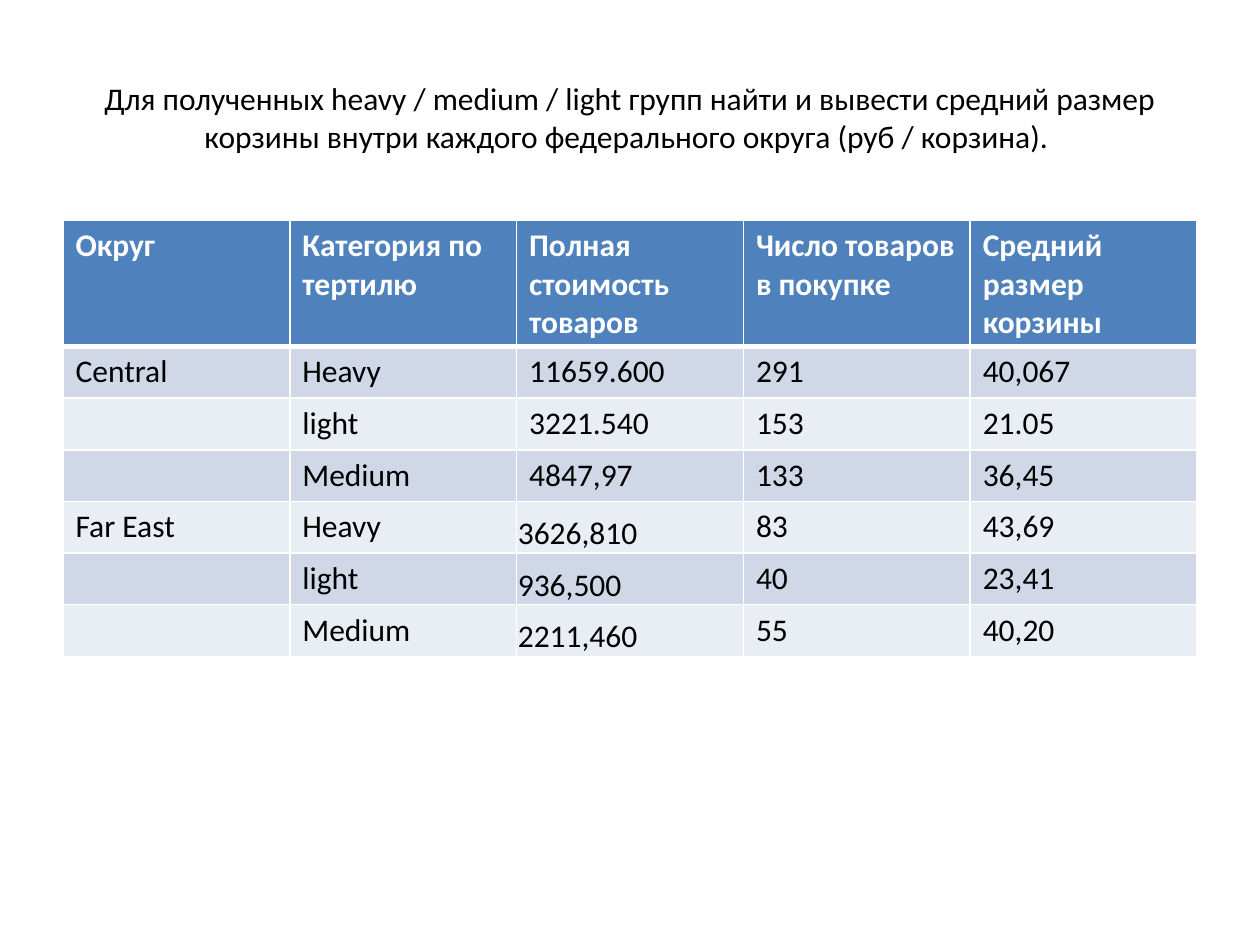
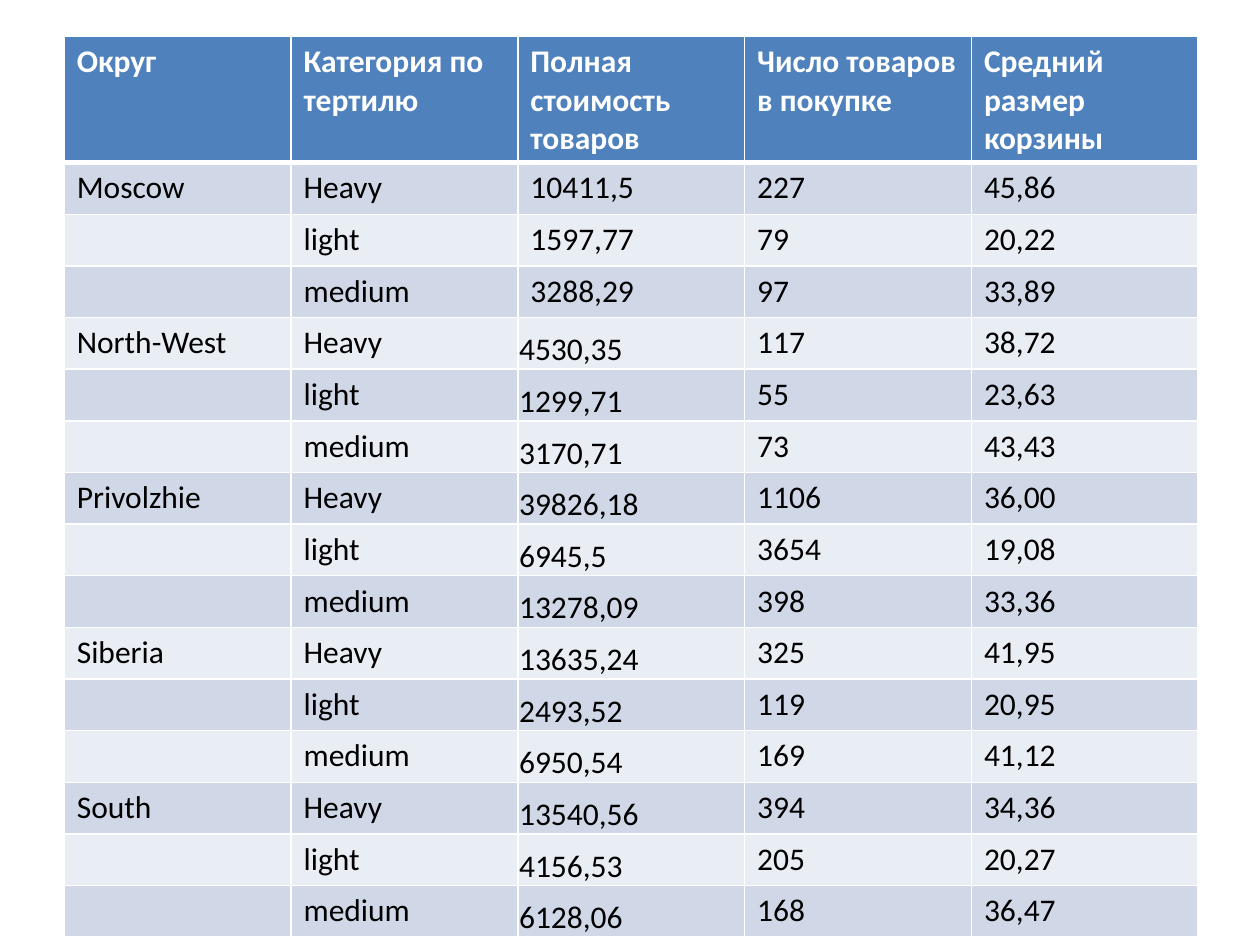
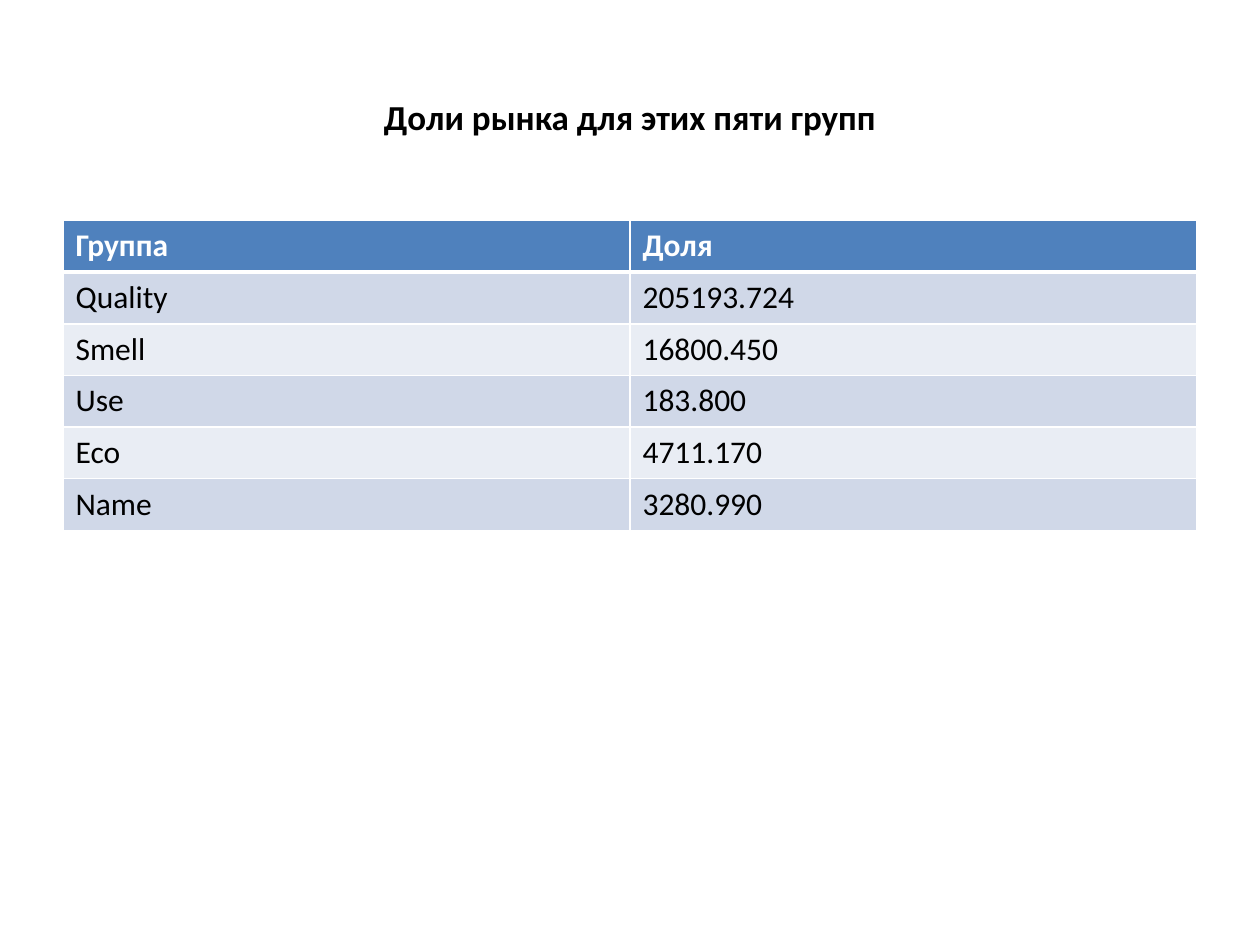
"""Build three slides on basket size by federal district and market shares by group."""
from lxml.etree import SubElement
from pptx import Presentation
from pptx.dml.color import RGBColor
from pptx.enum.text import MSO_ANCHOR, PP_ALIGN
from pptx.oxml.ns import qn
from pptx.util import Inches, Pt

BLACK = RGBColor(0x00, 0x00, 0x00)
WHITE = RGBColor(0xFF, 0xFF, 0xFF)
HEADER_BLUE = RGBColor(0x4F, 0x81, 0xBD)
BAND_FILLS = [RGBColor(0xE9, 0xED, 0xF4), RGBColor(0xD0, 0xD8, 0xE8)]
FONT = "Calibri"

SLIDE_WIDTH, SLIDE_HEIGHT = Inches(10), Inches(7.5)
MARGIN = SLIDE_WIDTH * 0.05
CONTENT_WIDTH = SLIDE_WIDTH - 2 * MARGIN
TITLE_TOP, TITLE_HEIGHT = SLIDE_HEIGHT * 0.04, Inches(1.25)
TABLE_TOP = Inches(1.75)
ROW_HEIGHT = Inches(0.41)
COST_COLUMN = 2
ROWS_PER_DISTRICT = 3

BASKET_HEADER = ["Округ", "Категория по тертилю", "Полная стоимость товаров",
                 "Число товаров в покупке", "Средний размер корзины"]
FIRST_DISTRICTS = [
    ["Central", "Heavy", "11659.600", "291", "40,067"],
    ["", "light", "3221.540", "153", "21.05"],
    ["", "Medium", "4847,97", "133", "36,45"],
    ["Far East", "Heavy", "3626,810", "83", "43,69"],
    ["", "light", "936,500", "40", "23,41"],
    ["", "Medium", "2211,460", "55", "40,20"],
]
OTHER_DISTRICTS = [
    ["Moscow", "Heavy", "10411,5", "227", "45,86"],
    ["", "light", "1597,77", "79", "20,22"],
    ["", "medium", "3288,29", "97", "33,89"],
    ["North-West", "Heavy", "4530,35", "117", "38,72"],
    ["", "light", "1299,71", "55", "23,63"],
    ["", "medium", "3170,71", "73", "43,43"],
    ["Privolzhie", "Heavy", "39826,18", "1106", "36,00"],
    ["", "light", "6945,5", "3654", "19,08"],
    ["", "medium", "13278,09", "398", "33,36"],
    ["Siberia", "Heavy", "13635,24", "325", "41,95"],
    ["", "light", "2493,52", "119", "20,95"],
    ["", "medium", "6950,54", "169", "41,12"],
    ["South", "Heavy", "13540,56", "394", "34,36"],
    ["", "light", "4156,53", "205", "20,27"],
    ["", "medium", "6128,06", "168", "36,47"],
]
MARKET_SHARES = [
    ["Группа", "Доля"],
    ["Quality", "205193.724"],
    ["Smell", "16800.450"],
    ["Use", "183.800"],
    ["Eco", "4711.170"],
    ["Name", "3280.990"],
]

SLIDES = [
    {"title": "Для полученных heavy / medium / light групп найти и вывести средний размер "
              "корзины внутри каждого федерального округа (руб / корзина). ",
     "title_format": {"size": 18}, "left": MARGIN, "top": TABLE_TOP,
     "header_height": Inches(0.97), "rows": [BASKET_HEADER] + FIRST_DISTRICTS},
    {"title": "", "left": Inches(0.51), "top": Inches(0.29),
     "header_height": Inches(0.94), "rows": [BASKET_HEADER] + OTHER_DISTRICTS},
    {"title": "Доли рынка для этих пяти групп",
     "title_format": {"size": 20, "bold": True}, "left": MARGIN, "top": TABLE_TOP,
     "header_height": ROW_HEIGHT, "rows": MARKET_SHARES},
]


def write_text(text_frame, text, size=18, bold=False, color=BLACK, align=PP_ALIGN.LEFT):
    paragraph = text_frame.paragraphs[0]
    paragraph.alignment = align
    paragraph.font.size = Pt(size)
    if text:
        run = paragraph.add_run()
        run.text = text
        run.font.name, run.font.size = FONT, Pt(size)
        run.font.bold, run.font.color.rgb = bold, color


def add_borders(cell, top=1, bottom=1):
    properties = cell._tc.get_or_add_tcPr()
    for side, width in (("L", 1), ("R", 1), ("T", top), ("B", bottom)):
        line = SubElement(properties, qn(f"a:ln{side}"), w=str(Pt(width)))
        fill = SubElement(line, qn("a:solidFill"))
        SubElement(fill, qn("a:srgbClr"), val=str(WHITE))


presentation = Presentation()
presentation.slide_width, presentation.slide_height = SLIDE_WIDTH, SLIDE_HEIGHT

for content in SLIDES:
    slide = presentation.slides.add_slide(presentation.slide_layouts[6])
    if content["title"]:
        title = slide.shapes.add_textbox(
            int(MARGIN), int(TITLE_TOP), int(CONTENT_WIDTH), TITLE_HEIGHT).text_frame
        title.word_wrap = True
        title.vertical_anchor = MSO_ANCHOR.MIDDLE
        write_text(title, content["title"], align=PP_ALIGN.CENTER, **content["title_format"])

    rows = content["rows"]
    column_count = len(rows[0])
    table = slide.shapes.add_table(
        len(rows), column_count, int(content["left"]), content["top"],
        int(CONTENT_WIDTH), ROW_HEIGHT * len(rows)).table
    table.horz_banding = False
    for row_index, values in enumerate(rows):
        is_header = row_index == 0
        table.rows[row_index].height = content["header_height"] if is_header else ROW_HEIGHT
        for column_index, value in enumerate(values):
            cell = table.cell(row_index, column_index)
            add_borders(cell, top=3 if row_index == 1 else 1, bottom=3 if is_header else 1)
            cell.fill.solid()
            cell.fill.fore_color.rgb = HEADER_BLUE if is_header else BAND_FILLS[row_index % 2]
            write_text(cell.text_frame, value, bold=is_header,
                       color=WHITE if is_header else BLACK)
            if column_index == COST_COLUMN and row_index > ROWS_PER_DISTRICT:
                cell.vertical_anchor = MSO_ANCHOR.BOTTOM
                cell.margin_left = cell.margin_right = cell.margin_top = Inches(0.01)
                cell.margin_bottom = 0

presentation.save("out.pptx")
